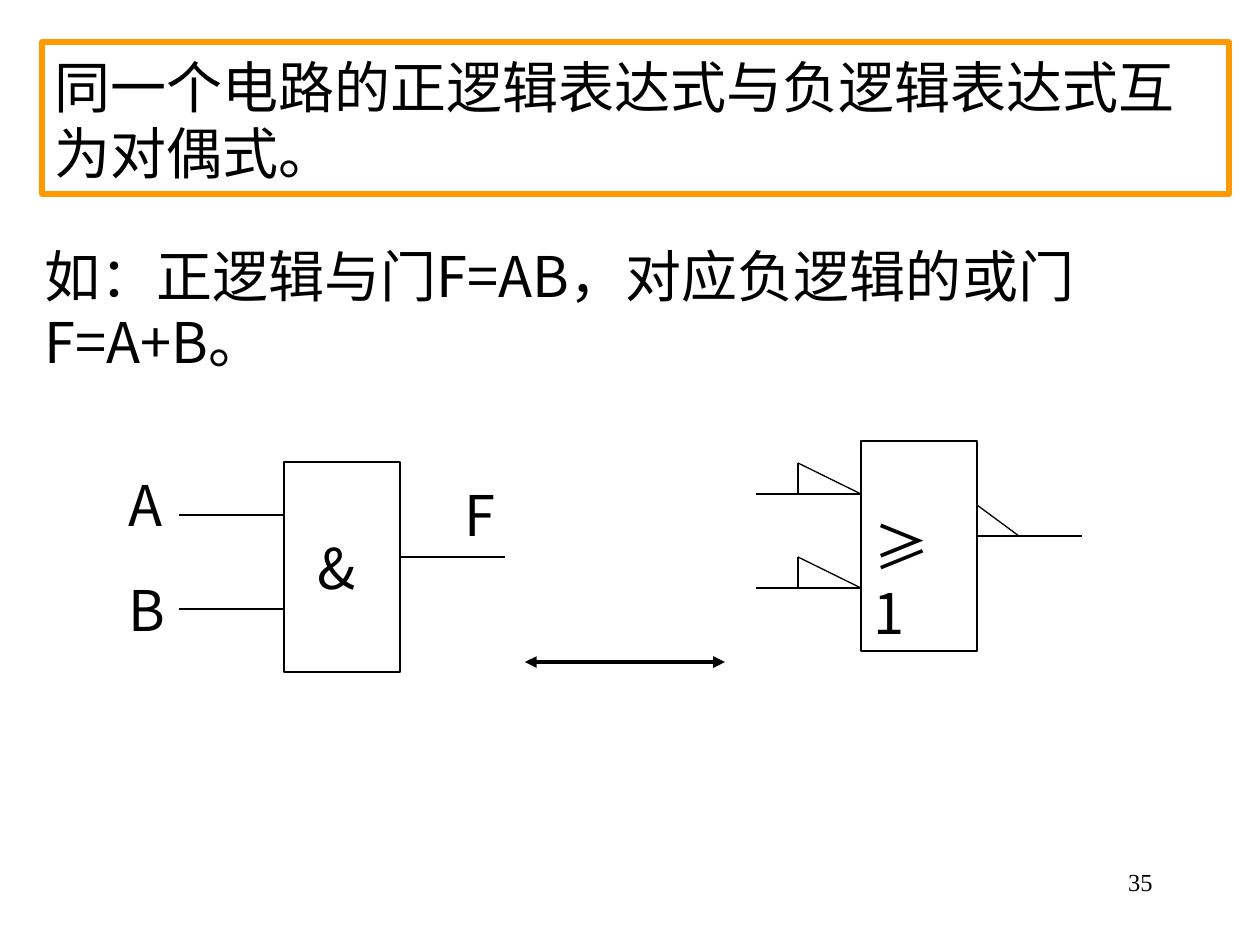
from lxml.etree import SubElement
from pptx import Presentation
from pptx.dml.color import RGBColor
from pptx.enum.shapes import MSO_CONNECTOR, MSO_SHAPE
from pptx.enum.text import MSO_ANCHOR, PP_ALIGN
from pptx.oxml.ns import qn
from pptx.util import Emu, Pt

PX_PER_INCH = 126
BLACK = RGBColor(0x00, 0x00, 0x00)
ORANGE = RGBColor(0xFF, 0x99, 0x00)
SANS = "Noto Sans CJK SC"
SERIF = "Times New Roman"

# Gate geometry, shared by both gates
GATE_WIDTH, GATE_HEIGHT = 116, 210
INPUT_OFFSETS = (53, 147)
OUTPUT_OFFSET = 95
WIRE = 105
WEDGE_HEIGHT = 31
INPUT_WEDGE, OUTPUT_WEDGE = 63, 42


def px(length):
    return Emu(round(length * 914400 / PX_PER_INCH))


def set_attributes(target, values):
    for name, value in values.items():
        setattr(target, name, value)


def write_text(shape, text, wrap=True, size=32, font=SANS, inset=11, **paragraph_format):
    """Put one formatted paragraph into a shape."""
    frame = shape.text_frame
    set_attributes(frame, {
        "word_wrap": wrap, "vertical_anchor": MSO_ANCHOR.TOP, "margin_top": px(inset),
    })
    paragraph = frame.paragraphs[0]
    set_attributes(paragraph, {"alignment": PP_ALIGN.LEFT, **paragraph_format})
    run = paragraph.add_run()
    run.text = text
    set_attributes(run.font, {"size": Pt(size), "name": font})
    run.font.color.rgb = BLACK
    east_asian = SubElement(run.font._element, qn("a:ea"))
    east_asian.set("typeface", font)


def add_label(slide, text, left, top, width, height=79, **text_format):
    box = slide.shapes.add_textbox(px(left), px(top), px(width), px(height))
    write_text(box, text, **text_format)


def add_frame(slide, left, top, width, height, color=BLACK, weight=0.75):
    shape = slide.shapes.add_shape(
        MSO_SHAPE.RECTANGLE, px(left), px(top), px(width), px(height))
    shape.shadow.inherit = False
    shape.fill.background()
    shape.line.color.rgb = color
    shape.line.width = Pt(weight)
    return shape


def add_line(slide, start, end, weight=0.75, arrow=False):
    points = [px(value) for value in (*start, *end)]
    line = slide.shapes.add_connector(MSO_CONNECTOR.STRAIGHT, *points)
    line.line.color.rgb = BLACK
    line.line.width = Pt(weight)
    if arrow:
        SubElement(line.line._get_or_add_ln(), qn("a:tailEnd")).set("type", "triangle")
    SubElement(line._element.spPr, qn("a:effectLst"))


def add_gate(slide, left, top, negative=False):
    """Gate body with two inputs and one output; wedges mark negative logic."""
    right = left + GATE_WIDTH
    add_frame(slide, left, top, GATE_WIDTH, GATE_HEIGHT)
    for offset in INPUT_OFFSETS:
        y = top + offset
        add_line(slide, (left, y), (left - WIRE, y))
        if negative:
            wedge_top = (left - INPUT_WEDGE, y - WEDGE_HEIGHT)
            add_line(slide, (left - INPUT_WEDGE, y), wedge_top)
            add_line(slide, wedge_top, (left, y))
    y = top + OUTPUT_OFFSET
    add_line(slide, (right, y), (right + WIRE, y))
    if negative:
        add_line(slide, (right, y - WEDGE_HEIGHT), (right + OUTPUT_WEDGE, y))


def main():
    presentation = Presentation()
    presentation.slide_width, presentation.slide_height = px(1260), px(945)
    slide = presentation.slides.add_slide(presentation.slide_layouts[6])

    # Page number
    add_label(slide, "35", 903, 861, 262, 63, size=14, font=SERIF, inset=6,
              alignment=PP_ALIGN.RIGHT)

    # Positive-logic AND gate and its labels
    add_gate(slide, 284, 462)
    for text, left, top in (("A", 116, 460), ("B", 116, 565),
                            ("F", 452, 470), ("&", 305, 523)):
        add_label(slide, text, left, top, 53, wrap=False, line_spacing=Pt(38))

    # Negative-logic OR gate
    add_gate(slide, 861, 441, negative=True)
    add_label(slide, "≥1", 861, 502, 110, line_spacing=Pt(38))

    # Two-way arrow made of two overlapping arrows
    for start, end in ((557, 725), (599, 525)):
        add_line(slide, (start, 662), (end, 662), weight=2.25, arrow=True)

    # Example and framed statement
    add_label(slide, "如：正逻辑与门F=AB，对应负逻辑的或门F=A+B。", 32, 231, 1230,
              line_spacing=Pt(38))
    statement = add_frame(slide, 42, 42, 1187, 152, ORANGE, 3)
    write_text(statement, "同一个电路的正逻辑表达式与负逻辑表达式互为对偶式。",
               line_spacing=Pt(38))

    presentation.save("out.pptx")


if __name__ == "__main__":
    main()
